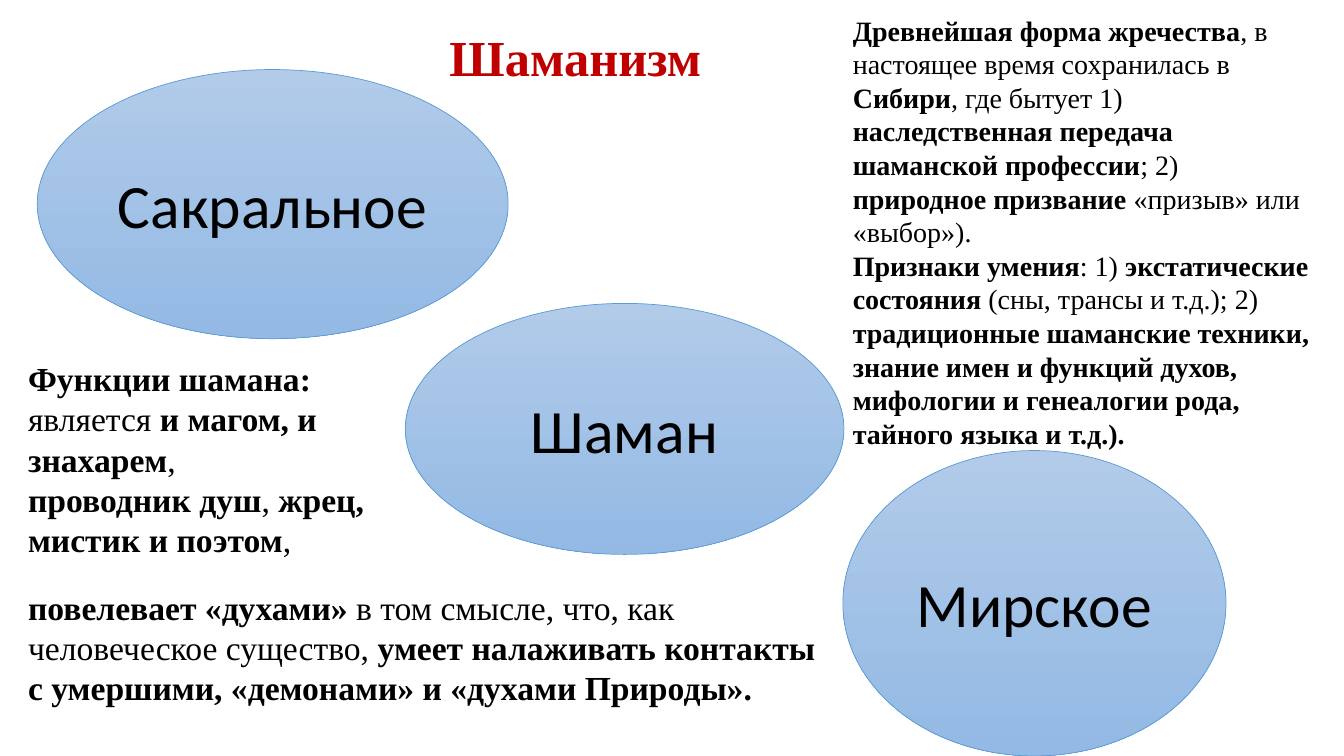
from dataclasses import dataclass
from typing import NamedTuple

from pptx import Presentation
from pptx.dml.color import RGBColor
from pptx.enum.shapes import MSO_SHAPE
from pptx.enum.text import MSO_ANCHOR, MSO_AUTO_SIZE, PP_ALIGN
from pptx.slide import Slide
from pptx.text.text import _Paragraph
from pptx.util import Emu, Pt

EMU_PER_PX = 9144  # 100 px to the inch
BLACK = "000000"
RED = "C00000"
OUTLINE = "5B9BD5"
GRADIENT = ("B1CBE9", "93B9E4")


class Box(NamedTuple):
    left: int
    top: int
    width: int
    height: int


class Words(NamedTuple):
    text: str
    bold: bool = False


@dataclass(frozen=True)
class Realm:
    name: str
    box: Box


@dataclass(frozen=True)
class Passage:
    box: Box
    size: int
    paragraphs: list[list[Words]]
    color: str = BLACK


TITLE = Passage(Box(436, 21, 317, 71), 36, [[Words("Шаманизм", True)]], RED)

REALMS = [
    Realm("Сакральное", Box(37, 69, 467, 267)),
    Realm("Шаман", Box(402, 301, 435, 249)),
    Realm("Мирское", Box(836, 447, 380, 303)),
]

PASSAGES = [
    Passage(Box(18, 350, 409, 212), 24, [
        [Words("Функции шамана:", True)],
        [Words("является "), Words("и магом, и знахарем", True), Words(",")],
        [Words("проводник душ", True), Words(", "),
         Words("жрец, мистик и поэтом", True), Words(",")],
    ]),
    Passage(Box(18, 577, 818, 131), 24, [
        [Words("повелевает «духами»", True),
         Words(" в том смысле, что, как человеческое существо, "),
         Words("умеет налаживать контакты с умершими, "
               "«демонами» и «духами Природы».", True)],
    ]),
    Passage(Box(836, 8, 480, 448), 20, [
        [Words("Древнейшая форма жречества", True),
         Words(", в настоящее время сохранилась в "),
         Words("Сибири", True),
         Words(", где бытует 1) "),
         Words("наследственная передача шаманской профессии", True),
         Words("; 2) "),
         Words("природное призвание ", True),
         Words("«призыв» или «выбор»).")],
        [Words("Признаки умения", True),
         Words(": 1) "),
         Words("экстатические состояния ", True),
         Words("(сны, трансы и т.д.); 2) "),
         Words("традиционные шаманские техники, знание имен и функций духов, "
               "мифологии и генеалогии рода, тайного языка и т.д.).", True)],
    ]),
]


def px(length: int) -> Emu:
    return Emu(length * EMU_PER_PX)


def rgb(color: str) -> RGBColor:
    return RGBColor.from_string(color)


def add_words(paragraph: _Paragraph, words: Words, font_name: str,
              size: int, color: str) -> None:
    run = paragraph.add_run()
    run.text = words.text
    run.font.name = font_name
    run.font.size = Pt(size)
    run.font.bold = words.bold
    run.font.color.rgb = rgb(color)


def add_passage(slide: Slide, passage: Passage) -> None:
    frame = slide.shapes.add_textbox(*map(px, passage.box)).text_frame
    frame.word_wrap = True
    frame.auto_size = MSO_AUTO_SIZE.SHAPE_TO_FIT_TEXT
    for index, line in enumerate(passage.paragraphs):
        paragraph = frame.add_paragraph() if index else frame.paragraphs[0]
        for words in line:
            add_words(paragraph, words, "Times New Roman",
                      passage.size, passage.color)


def add_realm(slide: Slide, realm: Realm) -> None:
    oval = slide.shapes.add_shape(MSO_SHAPE.OVAL, *map(px, realm.box))
    oval.shadow.inherit = False
    oval.fill.gradient()
    oval.fill.gradient_angle = 270  # counter-clockwise, so top to bottom
    for stop, color in zip(oval.fill.gradient_stops, GRADIENT):
        stop.color.rgb = rgb(color)
    oval.line.color.rgb = rgb(OUTLINE)
    oval.line.width = Pt(0.5)
    frame = oval.text_frame
    frame.word_wrap = True
    frame.vertical_anchor = MSO_ANCHOR.MIDDLE
    label = frame.paragraphs[0]
    label.alignment = PP_ALIGN.CENTER
    add_words(label, Words(realm.name), "Calibri", 44, BLACK)


def main() -> None:
    presentation = Presentation()
    presentation.slide_width = px(1333)
    presentation.slide_height = px(750)
    slide = presentation.slides.add_slide(presentation.slide_layouts[6])
    add_passage(slide, TITLE)
    for realm in REALMS:
        add_realm(slide, realm)
    for passage in PASSAGES:
        add_passage(slide, passage)
    presentation.save("out.pptx")


if __name__ == "__main__":
    main()
